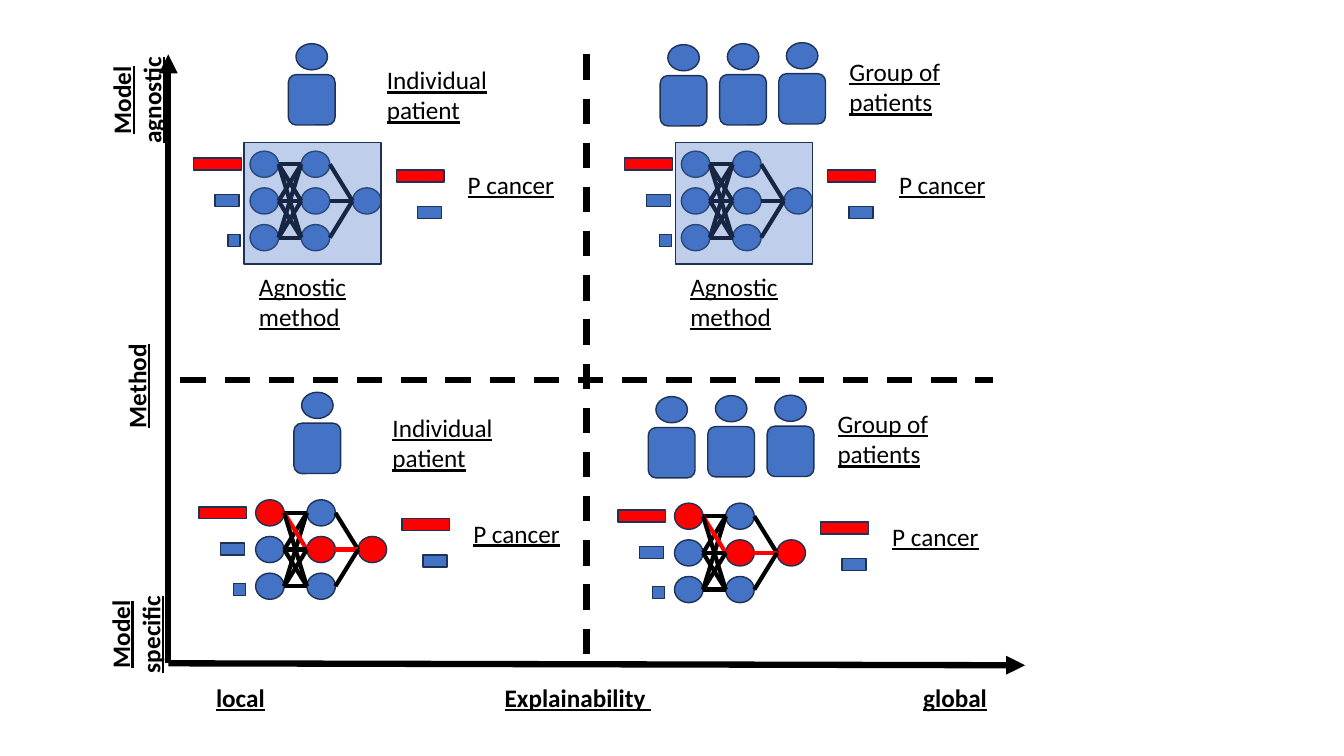
from pptx import Presentation
from pptx import util as u
from pptx.dml.color import RGBColor
from pptx.enum import dml, shapes, text
from pptx.oxml.ns import qn
from lxml import etree

COLORS = {"blue": "4472C4", "red": "FF0000", "outline": "1E3256", "black": "000000"}
FONT = "Calibri"

AXES = [((120.2, 473.8), (120.2, 38.9)), ((120.2, 473.8), (732.2, 475.2))]
DIVIDERS = [((128.9, 271.4), (709.2, 271.4)), ((419, 38.9), (419, 473.8))]
AXIS_LABELS = [
    ("Explainability ", 309.6, 483.8, 206.6, 28.8, 0),
    ("local", 126.7, 483.8, 90, 28.8, 0),
    ("global", 637.2, 483.8, 90, 28.8, 0),
    ("Method", -5.8, 261.4, 206.6, 28.8, 270),
    ("Model specific", 51.8, 427.7, 90, 50.9, 270),
    ("Model agnostic", 52.6, 46.1, 90, 50.9, 270),
]

QUADRANTS = [
    dict(origin=(178.6, 108), caption="Individual patient", caption_at=(90.7, -65.5),
         people=[(27.4, -54.7)], agnostic=True),
    dict(origin=(182.6, 357), caption="Individual patient", caption_at=(90.7, -66),
         people=[(27.4, -54.7)], agnostic=False),
    dict(origin=(486.7, 108), caption="Group of patients", caption_at=(113, -71.3),
         people=[(27.4, -54.7), (-15.1, -54), (69.6, -55.4)], agnostic=True),
    dict(origin=(481.8, 359.4), caption="Group of patients", caption_at=(109.4, -71.3),
         people=[(23.8, -54.7), (-18.7, -54), (66.2, -55)], agnostic=False),
]

LAYERS = [(0, 1, 2), (0, 1, 2), (1,)]
ACTIVE_NODES = [(0, 0), (1, 1), (2, 1)]
NODE_W, NODE_H = 20.4, 18.7
COLUMN_STEP, ROW_STEP = 36.6, 26.2
BAR_H = 8.6
BARS = [
    (-40.5, 5, 34.2, "red"),
    (-25, 30.9, 17.2, "blue"),
    (-15.8, 59.6, 8.6, "blue"),
    (104.4, 13.5, 34.2, "red"),
    (119.6, 39.5, 17.2, "blue"),
]
BODY_W, BODY_H = 33.4, 36
HEAD_W, HEAD_H, HEAD_RISE = 22.5, 18.7, 22.1
CAPTION_W, ONE_LINE, TWO_LINES = 89.3, 28.8, 50.9

presentation = Presentation()
presentation.slide_width, presentation.slide_height = u.Pt(960), u.Pt(540)
slide = presentation.slides.add_slide(presentation.slide_layouts[6])


def color(name):
    return RGBColor.from_string(COLORS[name])


def add_shape(kind, left, top, width, height, fill="blue", opacity=None):
    shape = slide.shapes.add_shape(kind, u.Pt(left), u.Pt(top), u.Pt(width), u.Pt(height))
    shape.shadow.inherit = False
    shape.fill.solid()
    shape.fill.fore_color.rgb = color(fill)
    shape.line.color.rgb = color("outline")
    shape.line.width = u.Pt(1)
    if opacity:
        tint = shape.fill._xPr.find(qn("a:solidFill"))[0]
        etree.SubElement(tint, qn("a:alpha")).set("val", str(opacity * 1000))


def add_line(start, end, width, name="black", dashed=False, arrow=False):
    connector = slide.shapes.add_connector(
        shapes.MSO_CONNECTOR.STRAIGHT, *[u.Pt(value) for value in (*start, *end)])
    connector.line.color.rgb = color(name)
    connector.line.width = u.Pt(width)
    if dashed:
        connector.line.dash_style = dml.MSO_LINE.DASH
    if arrow:
        etree.SubElement(connector.line._get_or_add_ln(), qn("a:tailEnd")).set("type", "triangle")
    etree.SubElement(connector._element.spPr, qn("a:effectLst"))


def add_text(words, left, top, width, height, rotation=0, heading=False):
    box = slide.shapes.add_textbox(u.Pt(left), u.Pt(top), u.Pt(width), u.Pt(height))
    box.rotation = rotation
    frame = box.text_frame
    frame.word_wrap = True
    frame.auto_size = text.MSO_AUTO_SIZE.SHAPE_TO_FIT_TEXT
    frame.text = words
    paragraph = frame.paragraphs[0]
    paragraph.alignment = text.PP_ALIGN.CENTER if heading else text.PP_ALIGN.LEFT
    font = paragraph.runs[0].font
    font.name, font.size = FONT, u.Pt(18)
    font.bold, font.underline = heading, True
    font.color.rgb = color("black")


def add_person(left, top):
    add_shape(shapes.MSO_SHAPE.ROUNDED_RECTANGLE, left, top, BODY_W, BODY_H)
    add_shape(shapes.MSO_SHAPE.OVAL, left + (BODY_W - HEAD_W) / 2, top - HEAD_RISE, HEAD_W, HEAD_H)


def add_network(x, y, active):
    for column, rows in enumerate(LAYERS):
        for row in rows:
            add_shape(shapes.MSO_SHAPE.OVAL, x + column * COLUMN_STEP, y + row * ROW_STEP,
                      NODE_W, NODE_H, "red" if (column, row) in active else "blue")
    for column in range(len(LAYERS) - 1):
        for target in LAYERS[column + 1]:
            for source in LAYERS[column]:
                start_x = x + column * COLUMN_STEP + NODE_W
                end_x = x + (column + 1) * COLUMN_STEP
                middle = y + NODE_H / 2
                on_route = (column, source) in active and (column + 1, target) in active
                add_line((start_x, middle + source * ROW_STEP), (end_x, middle + target * ROW_STEP),
                         3, "red" if on_route else "black")


def add_quadrant(origin, caption, caption_at, people, agnostic):
    x, y = origin
    for left, top in people:
        add_person(x + left, y + top)
    add_network(x, y, [] if agnostic else ACTIVE_NODES)
    for left, top, width, fill in BARS:
        add_shape(shapes.MSO_SHAPE.RECTANGLE, x + left, y + top, width, BAR_H, fill)
    add_text("P cancer", x + 148.4, y + 9.4, CAPTION_W, ONE_LINE)
    add_text(caption, x + caption_at[0], y + caption_at[1], CAPTION_W, TWO_LINES)
    if agnostic:
        add_shape(shapes.MSO_SHAPE.RECTANGLE, x - 4.3, y - 6, 98, 86.6, opacity=34)
        add_text("Agnostic method", x - 0.7, y + 82.1, CAPTION_W, TWO_LINES)


for start, end in AXES:
    add_line(start, end, 4.5, arrow=True)
for label in AXIS_LABELS:
    add_text(*label, heading=True)
for start, end in DIVIDERS:
    add_line(start, end, 4.5, dashed=True)
for quadrant in QUADRANTS:
    add_quadrant(**quadrant)

presentation.save("out.pptx")
